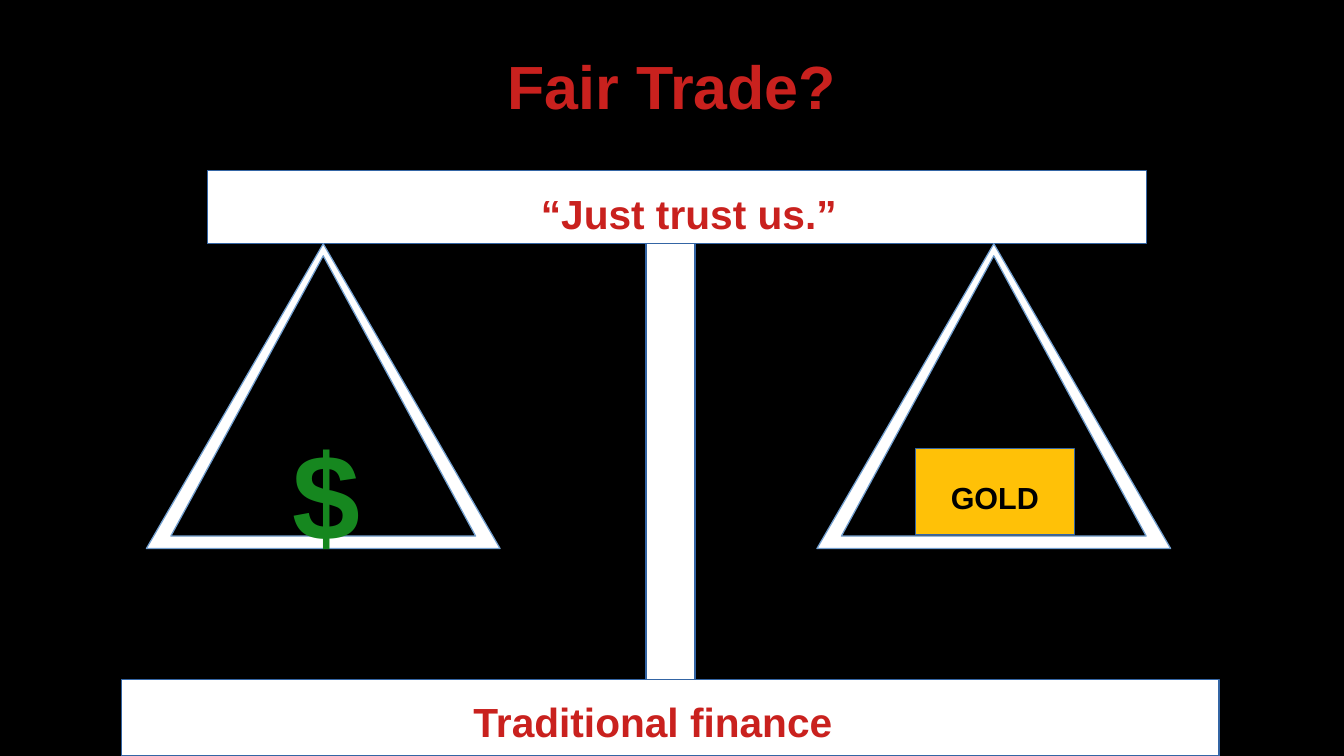
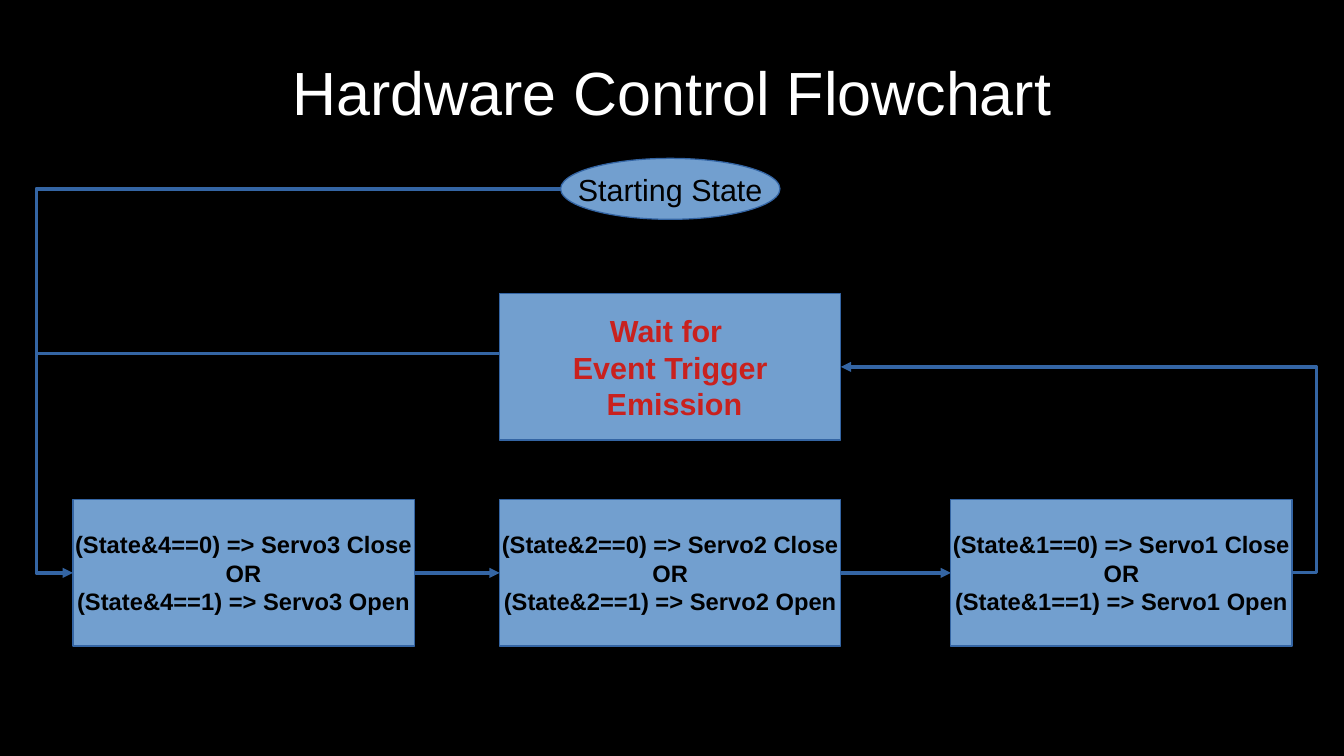
"""Build a two-slide deck: a trade balance and a servo control flowchart."""
from collections import namedtuple

from lxml.etree import SubElement
from pptx import Presentation
from pptx.dml.color import RGBColor
from pptx.enum.shapes import MSO_CONNECTOR as LINK, MSO_SHAPE as SHAPE
from pptx.enum.text import MSO_ANCHOR as ANCHOR, PP_ALIGN as ALIGN
from pptx.oxml.ns import qn
from pptx.util import Cm, Pt

FONT = "Arial"
BLACK, WHITE, RED = "000000", "FFFFFF", "C9211E"
GREEN, GOLD = "16871F", "FFC107"
BLUE, EDGE = "729FCF", "3465A4"
WIDTH, HEIGHT = 28, 15.75
TITLE_SIZE = 36


class Box(namedtuple("Box", "left top width height")):
    """A rectangle in centimetres."""

    def inner(self, left, top, width, height):
        """Return a box placed relative to this one."""
        return Box(self.left + left, self.top + top, width, height)

    def lengths(self):
        """Return the four values as slide lengths."""
        return [Cm(value) for value in self]

    @property
    def right(self):
        """Return the right edge."""
        return self.left + self.width

    @property
    def middle(self):
        """Return the vertical middle."""
        return self.top + self.height / 2


def color(hex_code):
    """Turn a hex string into a colour."""
    return RGBColor.from_string(hex_code)


def add_page(deck):
    """Add a blank page with the shared black background."""
    page = deck.slides.add_slide(deck.slide_layouts[6])
    fill = page.background.fill
    fill.solid()
    fill.fore_color.rgb = color(BLACK)
    return page


def write(shape, lines, size, ink, bold=False, align=ALIGN.CENTER,
          anchor=ANCHOR.TOP, wrap=True):
    """Fill a shape with lines of text in one style."""
    frame = shape.text_frame
    frame.word_wrap = wrap
    frame.vertical_anchor = anchor
    frame.text = "\n".join(lines)
    for para in frame.paragraphs:
        para.alignment = align
        para.font.name = FONT
        para.font.size = Pt(size)
        para.font.bold = bold
        para.font.color.rgb = color(ink)


def add_label(page, box, text, size, ink, **style):
    """Add a text box holding one line."""
    write(page.shapes.add_textbox(*box.lengths()), [text], size, ink, **style)


def add_figure(page, kind, box, fill, edge=EDGE):
    """Add a filled preset shape with a hairline edge."""
    shape = page.shapes.add_shape(kind, *box.lengths())
    shape.shadow.inherit = False
    shape.fill.solid()
    shape.fill.fore_color.rgb = color(fill)
    shape.line.color.rgb = color(edge)
    shape.line.width = Pt(0)
    return shape


def add_link(page, kind, begin, end, arrow=True, rail=None):
    """Draw a hairline between two points, optionally bent at a rail."""
    link = page.shapes.add_connector(kind, *(Cm(value) for value in (*begin, *end)))
    link.line.color.rgb = color(EDGE)
    link.line.width = Pt(0)
    properties = link._element.spPr
    if arrow:
        SubElement(properties.find(qn("a:ln")), qn("a:tailEnd"), type="triangle")
    SubElement(properties, qn("a:effectLst"))
    if rail is not None:
        share = round((rail - begin[0]) / (end[0] - begin[0]) * 100000)
        guides = properties.find(qn("a:prstGeom")).get_or_add_avLst()
        SubElement(guides, qn("a:gd"), name="adj1", fmla=f"val {share}")
    return link


def add_pan(page, box):
    """Draw one hollow triangular pan."""
    hollow = box.inner(0.51, 0.25, box.width - 1.02, box.height - 0.51)
    for area, fill in ((box, WHITE), (hollow, BLACK)):
        add_figure(page, SHAPE.ISOSCELES_TRIANGLE, area, fill, BLUE)


def add_balance(page, box):
    """Draw the balance with its beam, post, base, pans and loads."""
    beam = box.inner(1.78, 0, 19.56, 1.52)
    post = box.inner(10.92, beam.height, 1.02, 9.14)
    base = box.inner(0, 10.59, box.width, 1.6)
    for part in (beam, post, base):
        add_figure(page, SHAPE.RECTANGLE, part, WHITE)
    pans = [box.inner(left, beam.height, 7.37, 6.35) for left in (0.51, 14.48)]
    for pan in pans:
        add_pan(page, pan)
    money, metal = pans
    add_label(page, money.inner(2.79, 3.51, 1.78, 3.1), "$", 72, GREEN,
              bold=True, align=ALIGN.LEFT)
    add_figure(page, SHAPE.RECTANGLE, metal.inner(2.06, 4.27, 3.3, 1.78), GOLD)
    add_label(page, metal.inner(2.54, 4.78, 2.54, 1.68), "GOLD", 18, BLACK,
              bold=True, align=ALIGN.LEFT)
    for part, shift, text in ((beam, 0.25, "“Just trust us.”"),
                              (base, -0.25, "Traditional finance ")):
        add_label(page, part.inner(shift, 0.25, part.width, part.height),
                  text, 24, RED, bold=True)


def add_step(page, kind, box, lines, size, ink, bold=True):
    """Add one flowchart step with centred text."""
    shape = add_figure(page, kind, box, BLUE)
    write(shape, lines, size, ink, bold=bold, anchor=ANCHOR.MIDDLE, wrap=False)
    return shape


def add_flow(page, box):
    """Draw the control loop between the left and right rails of the box."""
    start = box.inner(10.92, 0, 4.57, 1.27)
    wait = box.inner(9.65, 2.82, 7.11, 3.05)
    servos = [box.inner(left, 7.11, wait.width, wait.height)
              for left in (0.76, 9.65, 19.05)]
    first, last = servos[0], servos[-1]
    add_step(page, SHAPE.OVAL, start, ["Starting State"], 18, BLACK, bold=False)
    add_step(page, SHAPE.RECTANGLE, wait,
             ["Wait for ", "Event Trigger", " Emission"], 18, RED)
    steps = []
    for number, servo in zip((3, 2, 1), servos):
        mask = 2 ** (number - 1)
        lines = [f"(State&{mask}==0) => Servo{number} Close", "OR",
                 f"(State&{mask}==1) => Servo{number} Open"]
        steps.append(add_step(page, SHAPE.RECTANGLE, servo, lines, 14, BLACK))
    for index in range(len(steps) - 1):
        here, there = servos[index:index + 2]
        link = add_link(page, LINK.STRAIGHT, (here.right, here.middle),
                        (there.left, there.middle))
        link.begin_connect(steps[index], 3)
        link.end_connect(steps[index + 1], 1)
    add_link(page, LINK.ELBOW, (start.left, start.middle),
             (first.left, first.middle), rail=box.left)
    add_link(page, LINK.ELBOW, (last.right, last.middle),
             (wait.right, wait.middle), rail=box.right)
    exit_height = wait.top + 1.25
    add_link(page, LINK.STRAIGHT, (wait.left, exit_height),
             (box.left, exit_height), arrow=False)


def main():
    """Build both slides and save the deck."""
    deck = Presentation()
    deck.slide_width, deck.slide_height = Cm(WIDTH), Cm(HEIGHT)

    page = add_page(deck)
    add_label(page, Box(0, 0, WIDTH, 3.56), "Fair Trade?", TITLE_SIZE, RED,
              bold=True, anchor=ANCHOR.MIDDLE)
    add_balance(page, Box(2.54, 3.56, 22.86, 12.19))

    page = add_page(deck)
    add_label(page, Box(0, 1.02, WIDTH, 3.1), "Hardware Control Flowchart",
              TITLE_SIZE, WHITE)
    add_flow(page, Box(0.76, 3.3, 26.67, 10.16))

    deck.save("out.pptx")


if __name__ == "__main__":
    main()
